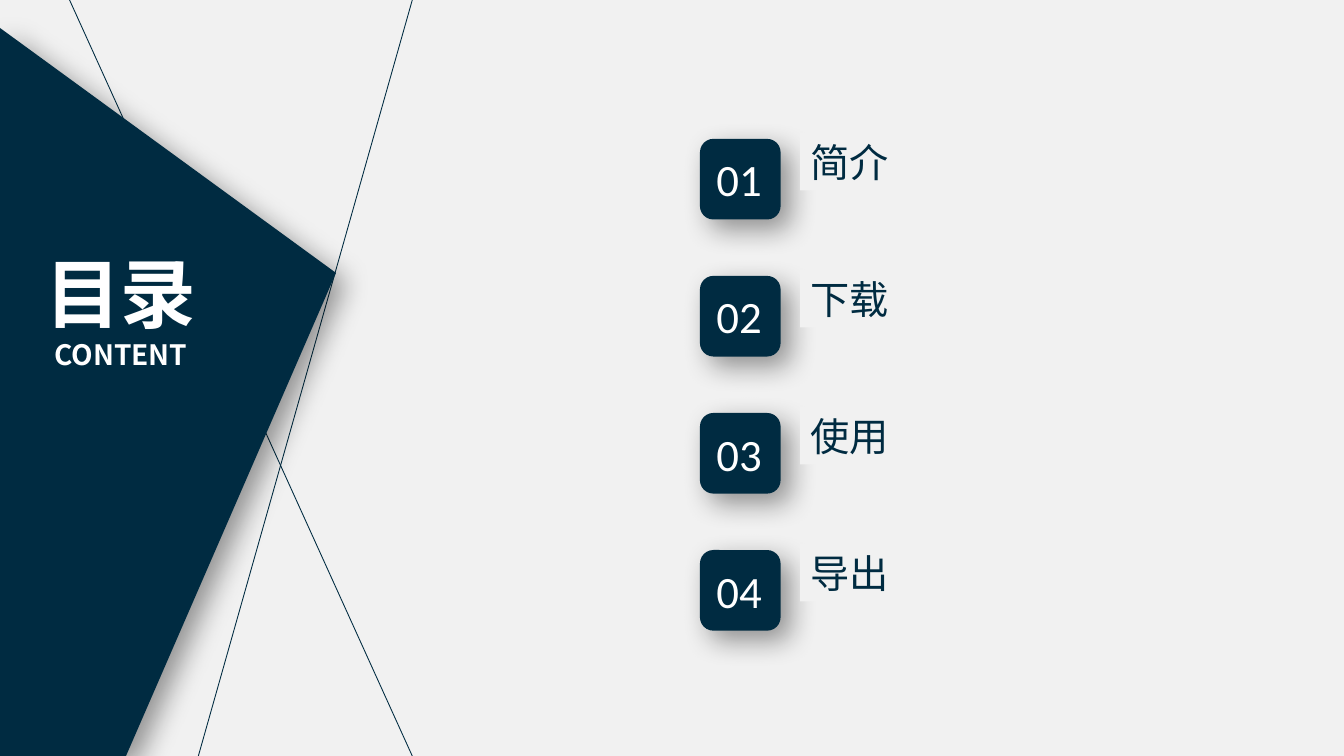
import pptx
import pptx.dml.color
import pptx.enum.shapes
import pptx.enum.text
import pptx.oxml
import pptx.oxml.ns
import pptx.util

Pt = pptx.util.Pt
NAVY = "002B41"
PALE = "F1F1F1"
WHITE = "FFFFFF"
HANZI = "Noto Sans CJK SC"
SHADOW = (
    '<a:outerShdw %s blurRad="254000" dist="127000" dir="2700000" algn="tl" rotWithShape="0">'
    '<a:srgbClr val="000000"><a:alpha val="40000"/></a:srgbClr></a:outerShdw>'
) % pptx.oxml.ns.nsdecls("a")


def rgb(value):
    return pptx.dml.color.RGBColor.from_string(value)


def write(paragraph, text, font, size, color, bold=False, align="LEFT"):
    paragraph.alignment = getattr(pptx.enum.text.PP_ALIGN, align)
    run = paragraph.add_run()
    run.text = text
    run.font.name = font
    run.font.size = Pt(size)
    run.font.bold = bold
    run.font.color.rgb = rgb(color)
    east_asian = pptx.oxml.parse_xml(
        '<a:ea %s typeface="%s"/>' % (pptx.oxml.ns.nsdecls("a"), font))
    run.font._element.find(pptx.oxml.ns.qn("a:latin")).addnext(east_asian)


class ContentsSlide:
    def __init__(self, slide):
        self.slide = slide
        slide.background.fill.solid()
        slide.background.fill.fore_color.rgb = rgb(PALE)

    def line(self, *ends):
        stroke = self.slide.shapes.add_connector(
            pptx.enum.shapes.MSO_CONNECTOR.STRAIGHT, *map(Pt, ends))
        stroke.line.color.rgb = rgb(NAVY)
        stroke.line.width = Pt(0.63)
        properties = stroke._element.spPr
        properties.append(pptx.oxml.parse_xml(
            "<a:effectLst %s/>" % pptx.oxml.ns.nsdecls("a")))

    def raise_shadow(self, shape):
        shape.fill.solid()
        shape.fill.fore_color.rgb = rgb(NAVY)
        shape.line.fill.background()
        shape.shadow.inherit = False
        effects = shape._element.spPr.find(pptx.oxml.ns.qn("a:effectLst"))
        effects.append(pptx.oxml.parse_xml(SHADOW))

    def panel(self, corners):
        start, *others = [(Pt(x), Pt(y)) for x, y in corners]
        builder = self.slide.shapes.build_freeform(*start)
        builder.add_line_segments(others, close=True)
        self.raise_shadow(builder.convert_to_shape())

    def tile(self, left, top, side):
        self.raise_shadow(self.slide.shapes.add_shape(
            pptx.enum.shapes.MSO_SHAPE.ROUNDED_RECTANGLE,
            Pt(left), Pt(top), Pt(side), Pt(side)))

    def text(self, box, text, fill=None, wrap=True, **style):
        holder = self.slide.shapes.add_textbox(*map(Pt, box))
        if fill:
            holder.fill.solid()
            holder.fill.fore_color.rgb = rgb(fill)
        holder.text_frame.word_wrap = wrap
        write(holder.text_frame.paragraphs[0], text, **style)

    def title(self, box, lines):
        heading = self.slide.shapes.title
        heading.left, heading.top, heading.width, heading.height = map(Pt, box)
        heading._element.getparent().append(heading._element)
        frame = heading.text_frame
        frame.word_wrap = True
        frame.auto_size = pptx.enum.text.MSO_AUTO_SIZE.NONE
        frame.vertical_anchor = pptx.enum.text.MSO_ANCHOR.TOP
        for index, (text, size) in enumerate(lines):
            paragraph = frame.add_paragraph() if index else frame.paragraphs[0]
            write(paragraph, text, HANZI, size, WHITE, bold=True, align="CENTER")


def main():
    deck = pptx.Presentation()
    deck.slide_width, deck.slide_height = Pt(960), Pt(540)
    contents = ContentsSlide(deck.slides.add_slide(deck.slide_layouts[5]))

    contents.line(294.5, 0, 141.7, 540)
    contents.line(294.5, 540, 49.7, 0)
    contents.panel([(90, 540), (0, 540), (0, 20), (240, 195)])
    contents.title((17.3, 172.8, 138.2, 97.2), [("目录", 54), ("CONTENT", 20)])

    for index, chapter in enumerate(["简介", "下载", "使用", "导出"]):
        top = 99.2 + index * 97.9
        contents.tile(500, top, 57.6)
        contents.text((504.7, top + 5.9, 47.5, 46), f"{index + 1:02}", wrap=False,
                      font="Calibri", size=32, color=WHITE)
        contents.text((571.6, top - 4.2, 228.2, 41), chapter, fill=PALE,
                      font=HANZI, size=28, color=NAVY)

    deck.save("out.pptx")


if __name__ == "__main__":
    main()
